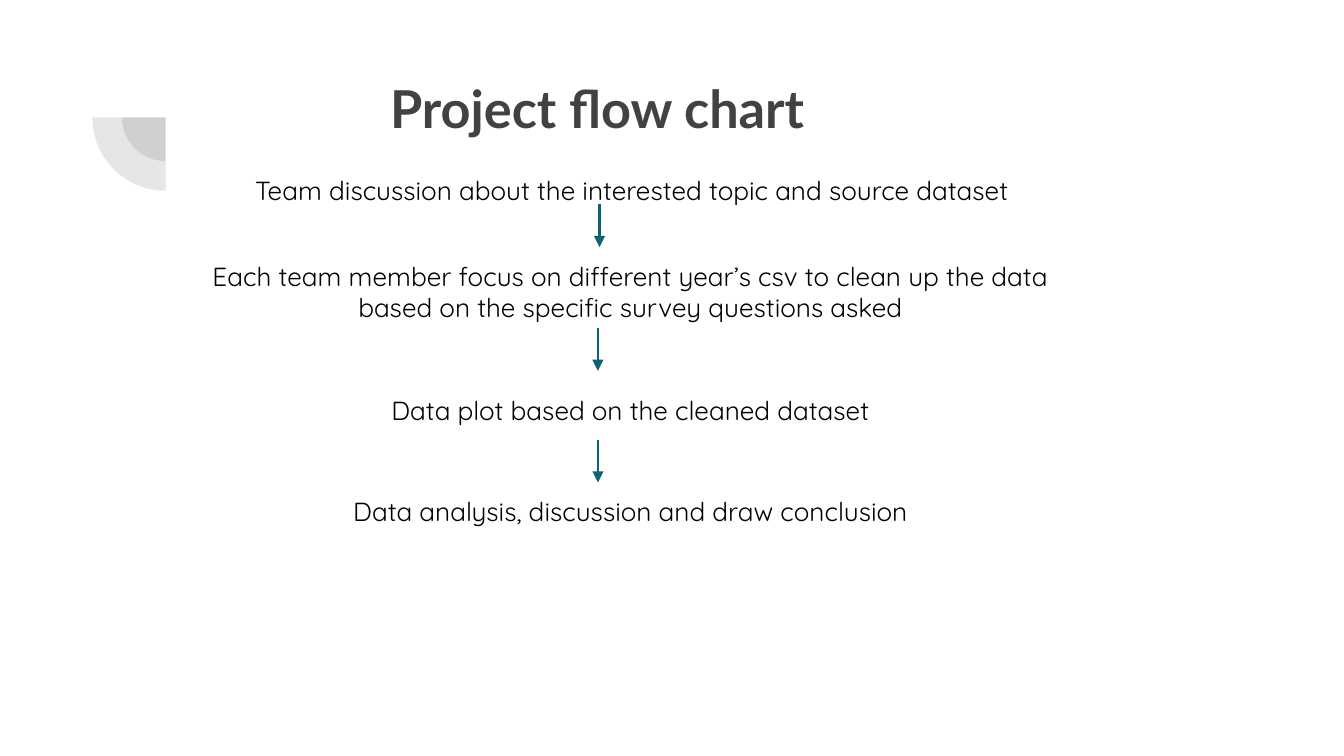
from dataclasses import dataclass

from lxml import etree
from pptx import Presentation
from pptx import util as u
from pptx.dml.color import RGBColor
from pptx.enum import shapes, text
from pptx.oxml import ns


@dataclass(frozen=True)
class Theme:
    """Colours, fonts and sizes of the slide."""
    background: str = "FFFFFF"
    heading: str = "424242"
    body: str = "000000"
    arrow: str = "0B6374"
    heading_font: str = "Lato"
    body_font: str = "Quicksand"
    heading_size: float = 28
    body_size: float = 14
    arrow_width: float = 1.5
    ornament_opacity: int = 13


class FlowSlide:
    """Draws flow chart elements on one slide, with lengths in centimetres."""

    def __init__(self, slide, theme):
        self.slide = slide
        self.theme = theme
        fill = slide.background.fill
        fill.solid()
        fill.fore_color.rgb = RGBColor.from_string(theme.background)

    def quarter(self, centre_x, centre_y, diameter):
        shape = self.slide.shapes.add_shape(
            shapes.MSO_SHAPE.PIE,
            u.Cm(centre_x - diameter / 2), u.Cm(centre_y - diameter / 2),
            u.Cm(diameter), u.Cm(diameter))
        shape.adjustments[0] = 108
        shape.adjustments[1] = 162
        shape.rotation = 270
        shape.shadow.inherit = False
        shape.line.fill.background()
        shape.fill.solid()
        shape.fill.fore_color.rgb = RGBColor.from_string(self.theme.heading)
        colour = shape.fill._xPr.find(".//" + ns.qn("a:srgbClr"))
        etree.SubElement(colour, ns.qn("a:alpha"),
                         val=str(self.theme.ornament_opacity * 1000))

    def label(self, words, left, top, width, height, font, size, colour, bold=False):
        frame = self.slide.shapes.add_textbox(
            u.Cm(left), u.Cm(top), u.Cm(width), u.Cm(height)).text_frame
        frame.word_wrap = True
        frame.vertical_anchor = text.MSO_ANCHOR.TOP
        frame.margin_left = frame.margin_right = u.Cm(0.25)
        frame.margin_top = frame.margin_bottom = u.Cm(0.25)
        paragraph = frame.paragraphs[0]
        paragraph.alignment = text.PP_ALIGN.CENTER
        run = paragraph.add_run()
        run.text = words
        run.font.name = font
        run.font.size = u.Pt(size)
        run.font.bold = bold
        run.font.color.rgb = RGBColor.from_string(colour)

    def title(self, words, left, top, width, height):
        theme = self.theme
        self.label(words, left, top, width, height, theme.heading_font,
                   theme.heading_size, theme.heading, bold=True)

    def step(self, words, left, top, height):
        theme = self.theme
        self.label(words, left, top, 16.48, height, theme.body_font,
                   theme.body_size, theme.body)

    def arrow(self, x, top, length=0.81):
        connector = self.slide.shapes.add_connector(
            shapes.MSO_CONNECTOR.STRAIGHT,
            u.Cm(x), u.Cm(top), u.Cm(x), u.Cm(top + length))
        connector.line.width = u.Pt(self.theme.arrow_width)
        connector.line.color.rgb = RGBColor.from_string(self.theme.arrow)
        etree.SubElement(connector.line._get_or_add_ln(), ns.qn("a:tailEnd"),
                         type="triangle")
        etree.SubElement(connector._element.spPr, ns.qn("a:effectLst"))


def main():
    presentation = Presentation()
    presentation.slide_width = u.Cm(25.4)
    presentation.slide_height = u.Cm(14.29)
    flow = FlowSlide(presentation.slides.add_slide(presentation.slide_layouts[6]), Theme())

    for diameter in (1.65, 2.77):
        flow.quarter(3.13, 2.22, diameter)
    flow.title("Project flow chart", 1.52, 1.19, 19.53, 2.77)

    steps = [
        ("Team discussion about the interested topic and source dataset", 3.71, 3.05, 1.63),
        ("Each team member focus on different year’s csv to clean up the data "
         "based on the specific survey questions asked", 3.68, 4.67, 2.11),
        ("Data plot based on the cleaned dataset", 3.68, 7.21, 2.11),
        ("Data analysis, discussion and draw conclusion", 3.68, 9.12, 2.11),
    ]
    for step in steps:
        flow.step(*step)
    for x, top in ((11.33, 3.86), (11.3, 6.2), (11.3, 8.31)):
        flow.arrow(x, top)

    presentation.save("out.pptx")


if __name__ == "__main__":
    main()
